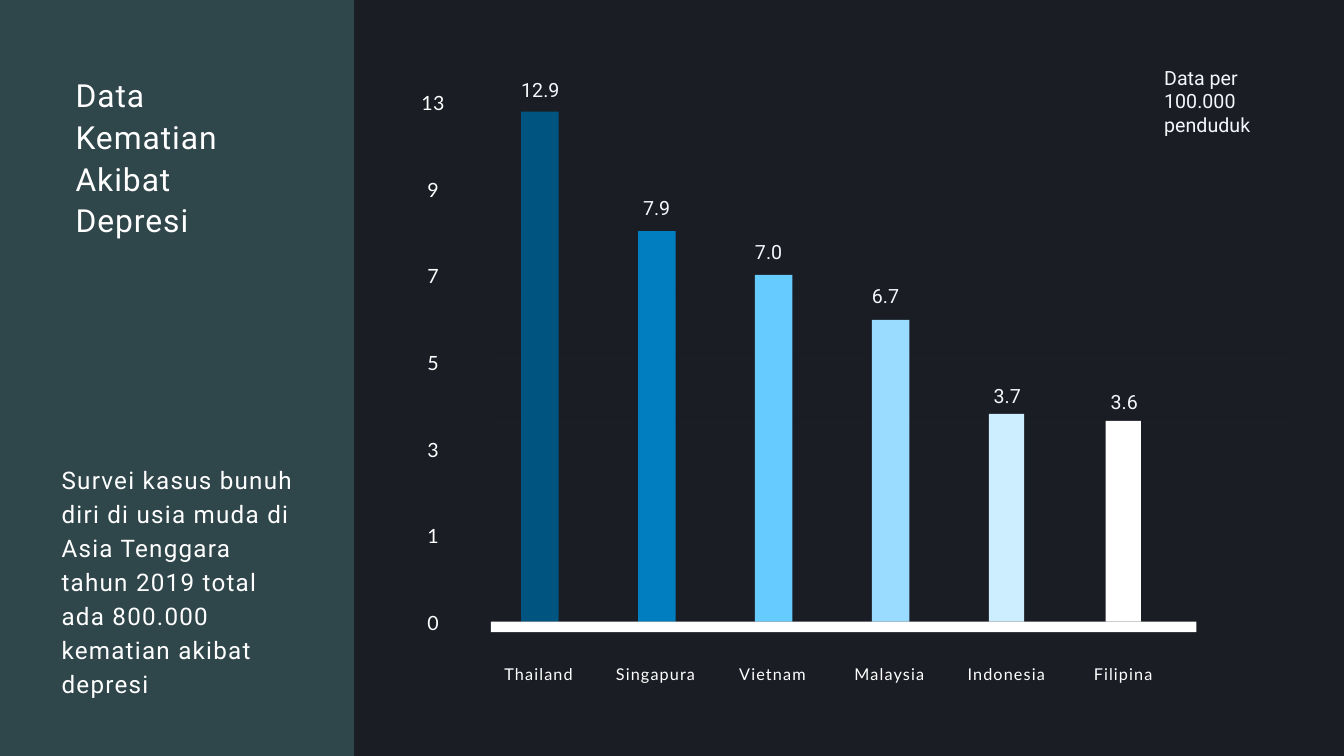
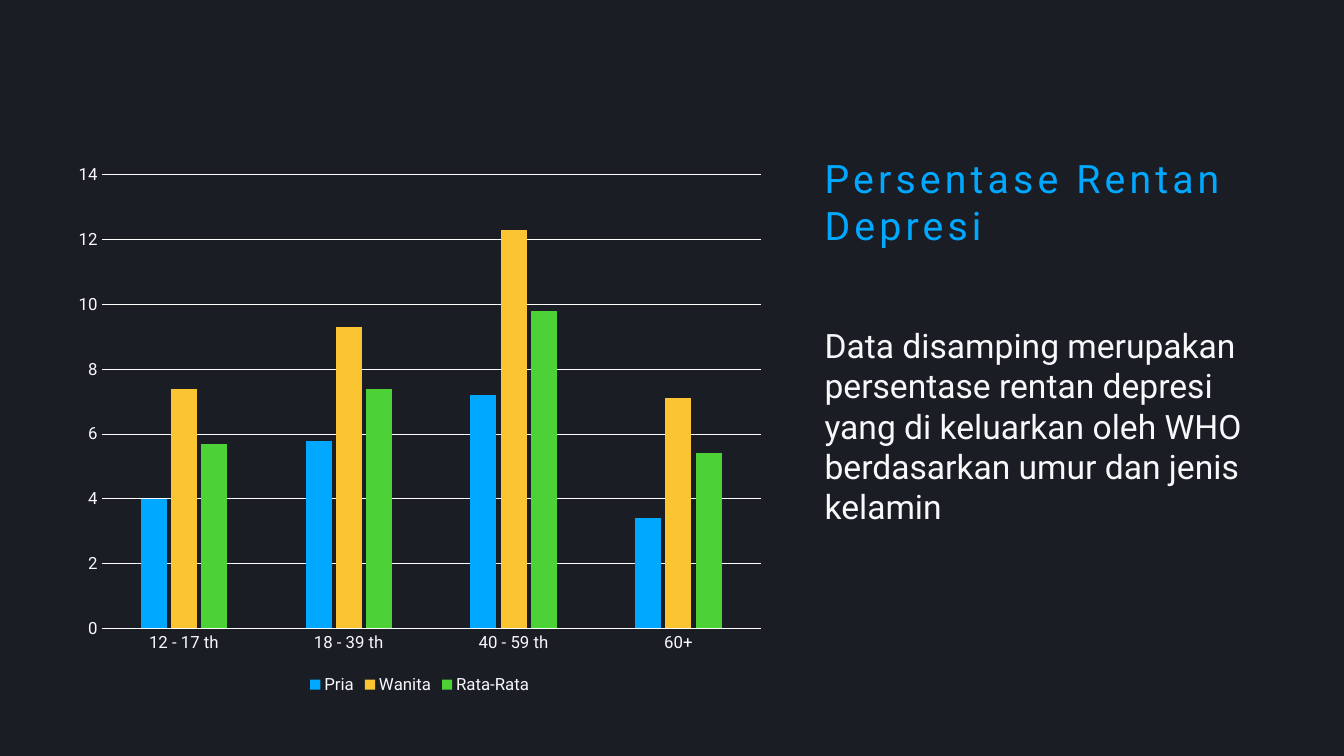
"""Two dark slides on depression in Southeast Asia, with bars and a column chart."""
from dataclasses import dataclass

from lxml import etree
from pptx import Presentation
from pptx import util as u
from pptx.chart import data
from pptx.dml import color
from pptx.enum import chart as ch, shapes, text
from pptx.oxml import ns

Pt = u.Pt


@dataclass(frozen=True)
class Style:
    face: str
    size: float
    tint: str
    track: float = 0
    lead: float = 0
    mid: bool = False


class Theme:
    back = "1A1D24"
    panel = "86EAE9"
    rule = "191919"
    white = "FFFFFF"
    line = "FEFEFE"
    blues = ("005480", "007EBF", "66CBFF", "99DCFF", "CCEEFF", "FFFFFF")
    trio = ("00A8FF", "FBC531", "4CD137")
    side = Style("Roboto", 22.7, "FFFFFF", 0.7, 29.7)
    body = Style("Roboto", 17.3, "FFFFFF", 0.9, 24.3)
    name = Style("Lato", 11.6, "FFFFFF", 0.8, 19.4, True)
    tick = Style("Lato", 14, "FFFFFF", 0.1, 21.4, True)
    value = Style("Roboto", 14, "F5F6FA")
    head = Style("Roboto", 28, "00A8FF", 3)
    note = Style("Roboto", 24, "F8F8FB")
    chart = Style("Roboto", 10, "F5F6FA")
    axis = Style("Roboto", 12, "F8F9FC")


def rgb(tint):
    return color.RGBColor.from_string(tint)


def dress(font, style):
    font.name = style.face
    font.size = Pt(style.size)
    font.color.rgb = rgb(style.tint)


def stroke(line, tint):
    line.color.rgb = rgb(tint)
    line.width = Pt(0.75)


class Deck:
    def __init__(self):
        self.show = Presentation()
        self.show.slide_width, self.show.slide_height = Pt(960), Pt(540)
        self.slide = None

    def page(self):
        self.slide = self.show.slides.add_slide(self.show.slide_layouts[6])
        fill = self.slide.background.fill
        fill.solid()
        fill.fore_color.rgb = rgb(Theme.back)

    def rect(self, x, y, w, h, tint, alpha=100):
        box = self.slide.shapes.add_shape(
            shapes.MSO_SHAPE.RECTANGLE, Pt(x), Pt(y), Pt(w), Pt(h))
        box.shadow.inherit = False
        box.line.fill.background()
        box.fill.solid()
        box.fill.fore_color.rgb = rgb(tint)
        if alpha < 100:
            node = box.fill._xPr.find(".//" + ns.qn("a:srgbClr"))
            etree.SubElement(node, ns.qn("a:alpha")).set("val", str(alpha * 1000))

    def text(self, x, y, w, h, words, style, wrap=True):
        box = self.slide.shapes.add_textbox(Pt(x), Pt(y), Pt(w), Pt(h))
        frame = box.text_frame
        frame.margin_left = frame.margin_right = 0
        frame.margin_top = frame.margin_bottom = 0
        frame.word_wrap = wrap
        frame.auto_size = text.MSO_AUTO_SIZE.SHAPE_TO_FIT_TEXT
        frame.text = words
        for para in frame.paragraphs:
            dress(para.font, style)
            if style.track:
                para.font._rPr.set("spc", str(round(style.track * 100)))
            if style.lead:
                para.line_spacing = Pt(style.lead)
            if style.mid:
                para.alignment = text.PP_ALIGN.CENTER

    def chart(self, x, y, w, h, cats, rows):
        table = data.CategoryChartData()
        table.categories = cats
        for name, vals in rows:
            table.add_series(name, vals)
        chart = self.slide.shapes.add_chart(
            ch.XL_CHART_TYPE.COLUMN_CLUSTERED,
            Pt(x), Pt(y), Pt(w), Pt(h), table).chart
        dress(chart.font, Theme.chart)
        chart.has_title = False
        chart.has_legend = True
        chart.legend.position = ch.XL_LEGEND_POSITION.BOTTOM
        chart.legend.include_in_layout = False
        dress(chart.legend.font, Theme.axis)
        for axis in (chart.category_axis, chart.value_axis):
            axis.major_tick_mark = axis.minor_tick_mark = ch.XL_TICK_MARK.NONE
            dress(axis.tick_labels.font, Theme.axis)
        stroke(chart.category_axis.format.line, Theme.line)
        scale = chart.value_axis
        scale.minimum_scale, scale.maximum_scale, scale.major_unit = 0, 14, 2
        scale.format.line.fill.background()
        scale.has_major_gridlines = True
        stroke(scale.major_gridlines.format.line, Theme.line)
        plot = chart.plots[0]
        plot.vary_by_categories = False
        plot.gap_width, plot.overlap = 301, -16
        for row, tint in zip(plot.series, Theme.trio):
            row.format.fill.solid()
            row.format.fill.fore_color.rgb = rgb(tint)


def deaths(deck):
    deck.page()
    deck.rect(0, 0, 253, 540, Theme.panel, 20)
    deck.text(54, 52, 122.5, 119.5, "Data Kematian Akibat Depresi", Theme.side)
    deck.text(44, 328.5, 168, 168,
              "Survei kasus bunuh diri di usia muda di Asia Tenggara tahun 2019 "
              "total ada 800.000 kematian akibat depresi", Theme.body)
    for i, mark in enumerate((13, 9, 7, 5, 3, 1, 0)):
        deck.text(296, 60.4 + 61.9 * i, 26.6, 19.4, str(mark), Theme.tick)
    for i in range(6):
        deck.rect(350.6, 71.3 + 45.2 * i, 569.5, 0.7, Theme.rule, 16)

    base, step = 444, 83.5
    bars = (
        ("Thailand", "12.9", 364.3, 26.8, 0, 24),
        ("Singapura", "7.9", 279, 26.8, 3.5, 25),
        ("Vietnam", "7.0", 247.7, 26.8, 0, 25),
        ("Malaysia", "6.7", 215.5, 26.8, 0, 25.5),
        ("Indonesia", "3.7", 148.3, 25.2, 3.5, 21.5),
        ("Filipina", "3.6", 143.3, 25.2, 3.5, 22),
    )
    for i, (name, value, tall, wide, shift, rise) in enumerate(bars):
        left, top = 372.3 + step * i, base - tall
        deck.rect(left, top, wide, tall, Theme.blues[i])
        deck.text(left + shift, top - rise, 32.4, 17, value, Theme.value)
        deck.text(350.6 + step * i, 468.7, 68.4, 17.3, name, Theme.name)
    deck.rect(350.6, base, 504, 7.5, Theme.white)
    deck.text(831.6, 46.8, 80, 51, "Data per 100.000 penduduk", Theme.value)


def shares(deck):
    deck.page()
    deck.chart(46, 110, 507.6, 389, ("12 - 17 th", "18 - 39 th", "40 - 59 th", "60+"), (
        ("Pria", (4, 5.8, 7.2, 3.4)),
        ("Wanita", (7.4, 9.3, 12.3, 7.1)),
        ("Rata-Rata", (5.7, 7.4, 9.8, 5.4)),
    ))
    deck.text(589, 110, 286.6, 67.7, "Persentase Rentan\nDepresi", Theme.head, False)
    deck.text(589, 232, 325.4, 145.4,
              "Data disamping merupakan persentase rentan depresi yang di "
              "keluarkan oleh WHO berdasarkan umur dan jenis kelamin", Theme.note)


def main():
    deck = Deck()
    deaths(deck)
    shares(deck)
    deck.show.save("out.pptx")


if __name__ == "__main__":
    main()
